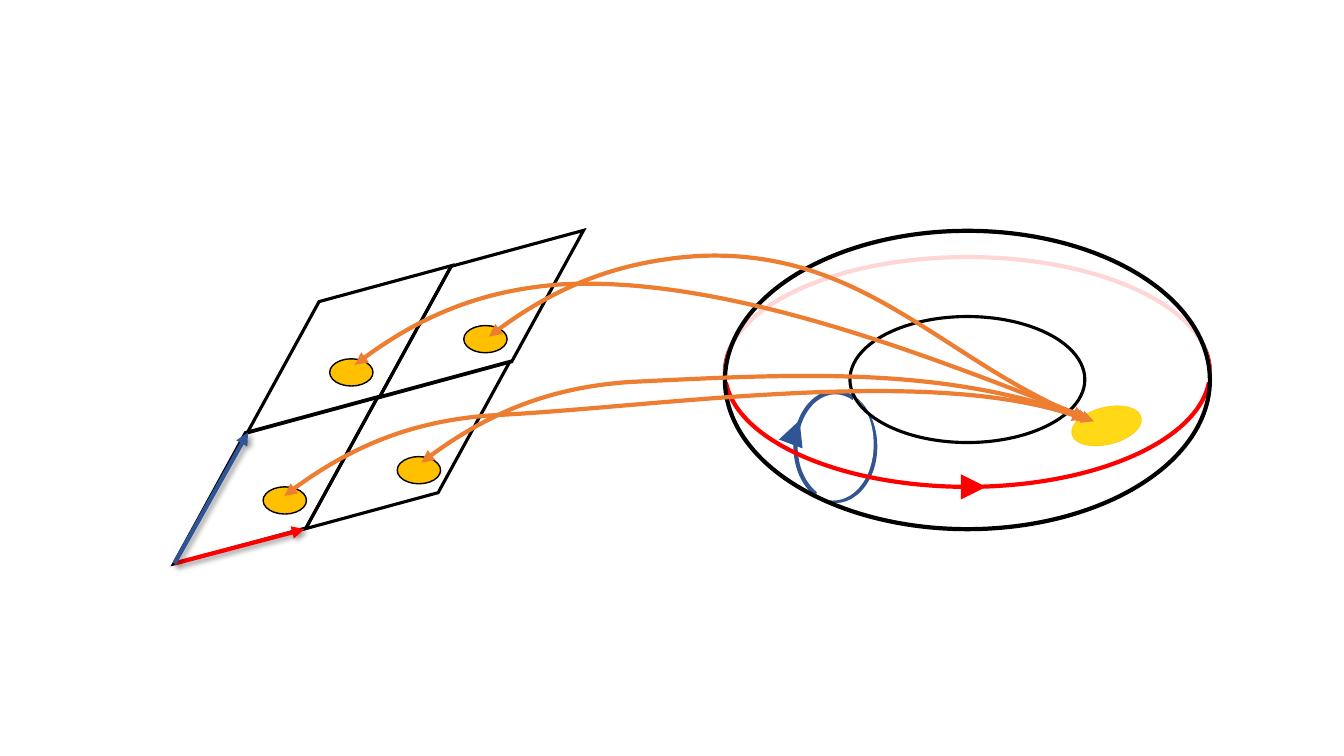
from dataclasses import dataclass
from typing import Optional
from lxml.etree import SubElement as Sub
from pptx import Presentation
from pptx.dml.color import RGBColor
from pptx.enum.shapes import MSO_CONNECTOR as Link, MSO_SHAPE as Form
from pptx.oxml.ns import qn
from pptx.util import Cm, Length, Pt

INCH = 2.54
BLACK = RGBColor(0x00, 0x00, 0x00)
WHITE = RGBColor(0xFF, 0xFF, 0xFF)
RED = RGBColor(0xFF, 0x00, 0x00)
BLUE = RGBColor(0x2F, 0x55, 0x97)
NAVY = RGBColor(0x32, 0x54, 0x91)
GOLD = RGBColor(0xFF, 0xC0, 0x00)
YELLOW = RGBColor(0xFF, 0xD8, 0x16)
ORANGE = RGBColor(0xED, 0x7D, 0x31)

Point = tuple[float, float]


@dataclass
class Oval:
    left: float
    top: float
    width: float
    height: float
    line: RGBColor = BLACK
    weight: float = 3
    fill: Optional[RGBColor] = None
    turn: float = 0


@dataclass
class Arrow:
    start: Point
    end: Point
    color: RGBColor
    weight: float = 3
    shade: bool = False


@dataclass
class Curve:
    points: list[Point]
    color: RGBColor = ORANGE
    weight: float = 3
    closed: bool = False


def size(value: float) -> Length:
    return Cm(value * INCH)


def stroke(shape, color: RGBColor, weight: float, ends: tuple = ()) -> None:
    shape.line.color.rgb = color
    shape.line.width = Pt(weight)
    line = shape.element.spPr.find(qn("a:ln"))
    Sub(line, qn("a:miter"), lim="800000")
    for end in ends:
        Sub(line, qn(f"a:{end}"), type="triangle")


def paint(shape, fill: Optional[RGBColor]) -> None:
    shape.shadow.inherit = False
    if fill is None:
        shape.fill.background()
    else:
        shape.fill.solid()
        shape.fill.fore_color.rgb = fill


def draw_oval(shapes, oval: Oval) -> None:
    box = map(size, (oval.left, oval.top, oval.width, oval.height))
    shape = shapes.add_shape(Form.OVAL, *box)
    shape.rotation = oval.turn
    paint(shape, oval.fill)
    stroke(shape, oval.line, oval.weight)


def draw_tile(shapes, left: float, top: float) -> None:
    box = map(size, (left, top, 2.39, 1.07))
    shape = shapes.add_shape(Form.PARALLELOGRAM, *box)
    shape.adjustments[0] = 0.962
    shape.rotation = 344.8
    paint(shape, None)
    stroke(shape, BLACK, 2.25)


def draw_arrow(shapes, arrow: Arrow) -> None:
    ends = map(size, arrow.start + arrow.end)
    shape = shapes.add_connector(Link.STRAIGHT, *ends)
    stroke(shape, arrow.color, arrow.weight, ("tailEnd",))
    effects = Sub(shape.element.spPr, qn("a:effectLst"))
    if arrow.shade:
        shadow = Sub(effects, qn("a:outerShdw"), blurRad=str(Pt(4)),
                     dist=str(Pt(3)), dir="2700000", algn="tl", rotWithShape="0")
        black = Sub(shadow, qn("a:srgbClr"), val=str(BLACK))
        Sub(black, qn("a:alpha"), val="40000")


def draw_curve(shapes, curve: Curve) -> None:
    first, *rest = [(size(x), size(y)) for x, y in curve.points]
    maker = shapes.build_freeform(*first)
    maker.add_line_segments(rest, close=curve.closed)
    shape = maker.convert_to_shape()
    route = next(shape.element.iter(qn("a:path")))
    steps = route.findall(qn("a:lnTo"))
    for i in range(0, len(steps), 3):
        bend = Sub(route, qn("a:cubicBezTo"))
        steps[i].addprevious(bend)
        for step in steps[i:i + 3]:
            bend.append(step[0])
            route.remove(step)
    paint(shape, WHITE if curve.closed else None)
    if curve.closed:
        tint = next(shape.element.spPr.find(qn("a:solidFill")).iter(qn("a:srgbClr")))
        Sub(tint, qn("a:alpha"), val="84000")
    ends = () if curve.closed else ("headEnd", "tailEnd")
    stroke(shape, curve.color, curve.weight, ends)


SIDES = [
    Arrow((1.73, 5.59), (3.02, 5.25), RED, shade=True),
    Arrow((1.73, 5.59), (2.46, 4.29), BLUE, shade=True),
]
TORUS = [
    Oval(7.89, 3.89, 0.79, 1.08, NAVY),
    Curve([(8.48, 3.96), (8.59, 4.06), (8.65, 4.22), (8.65, 4.41), (8.65, 4.71),
           (8.48, 4.95), (8.26, 4.95), (8.21, 4.95), (8.15, 4.94), (8.11, 4.91)],
          WHITE, 2.25, True),
    Oval(7.19, 2.55, 4.81, 2.28, RED),
    Curve([(7.19, 3.77), (7.19, 2.95), (8.27, 2.29), (9.59, 2.29),
           (10.92, 2.29), (12, 2.95), (12, 3.77)], WHITE, 3, True),
    Oval(8.43, 3.14, 2.33, 1.25, weight=2.25),
    Oval(7.19, 2.29, 4.81, 2.96),
    Arrow((9.65, 4.83), (9.78, 4.83), RED, 6),
    Arrow((7.9, 4.25), (7.93, 4.17), BLUE, 6),
]
SPOTS = [(2.61, 4.83), (3.94, 4.53), (4.6, 3.23), (3.27, 3.56)]
PATHS = [
    Curve([(4.18, 4.59), (4.81, 4.1), (5.49, 3.84), (6.25, 3.79),
           (7.88, 3.71), (9.41, 3.62), (10.85, 4.18)]),
    Curve([(4.85, 3.34), (5.48, 2.85), (6.16, 2.59), (6.92, 2.54),
           (8.55, 2.46), (9.37, 3.61), (10.81, 4.17)]),
    Curve([(3.52, 3.62), (4.15, 3.13), (4.83, 2.87), (5.59, 2.82),
           (7.22, 2.74), (9.33, 3.58), (10.77, 4.14)]),
    Curve([(2.82, 4.92), (3.45, 4.43), (4.13, 4.17), (4.89, 4.12),
           (6.52, 4.04), (9.32, 3.6), (10.76, 4.16)]),
]
DRAW = {Oval: draw_oval, Arrow: draw_arrow, Curve: draw_curve}


def main() -> None:
    deck = Presentation()
    deck.slide_width, deck.slide_height = size(13.33), size(7.5)
    slide = deck.slides.add_slide(deck.slide_layouts[6])

    grid = slide.shapes.add_group_shape().shapes
    for row in range(2):
        for col in range(2):
            draw_tile(grid, 1.54 + 1.31 * col + 0.73 * row,
                      4.23 - 0.35 * col - 1.3 * row)
    for side in SIDES:
        draw_arrow(grid, side)

    torus = slide.shapes.add_group_shape().shapes
    for part in TORUS:
        DRAW[type(part)](torus, part)

    draw_oval(slide.shapes, Oval(10.62, 4.04, 0.71, 0.37, GOLD, 0.25, YELLOW, 346))
    for left, top in SPOTS:
        draw_oval(slide.shapes, Oval(left, top, 0.43, 0.27, weight=1, fill=GOLD))
    for curve in PATHS:
        draw_curve(slide.shapes, curve)

    deck.save("out.pptx")


if __name__ == "__main__":
    main()
